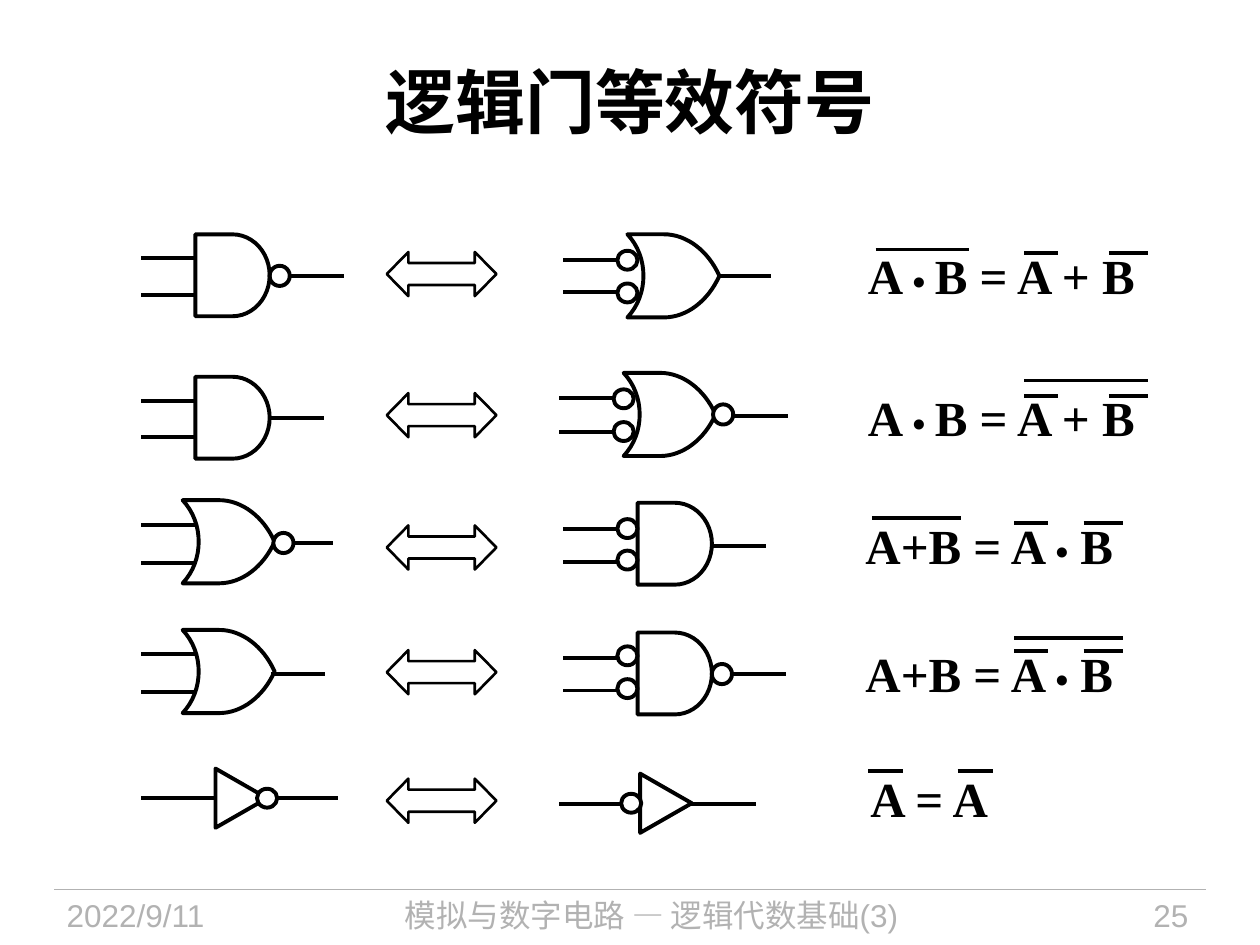
from lxml import etree
from pptx import Presentation
from pptx.dml.color import RGBColor
from pptx.enum.shapes import MSO_CONNECTOR, MSO_SHAPE
from pptx.enum.text import MSO_ANCHOR, MSO_AUTO_SIZE, PP_ALIGN
from pptx.oxml.ns import qn
from pptx.util import Pt

PX = 9144  # 100 px to the inch
STRAIGHT = MSO_CONNECTOR.STRAIGHT
DELAY, OVAL = MSO_SHAPE.FLOWCHART_DELAY, MSO_SHAPE.OVAL
TRIANGLE, DOUBLE_ARROW = MSO_SHAPE.ISOSCELES_TRIANGLE, MSO_SHAPE.LEFT_RIGHT_ARROW
LEFT, CENTER, RIGHT = PP_ALIGN.LEFT, PP_ALIGN.CENTER, PP_ALIGN.RIGHT
COLORS = {"ink": "000000", "paper": "FFFFFF", "footer": "B2B2B2"}
SERIF, SANS = "Times New Roman", "Arial"

presentation = Presentation()
presentation.slide_width, presentation.slide_height = 1000 * PX, 750 * PX
slide = presentation.slides.add_slide(presentation.slide_layouts[5])
shapes = slide.shapes


def add_horizontal(x, y, length, color="ink", width=2.25):
    line = shapes.add_connector(STRAIGHT, x * PX, y * PX, (x + length) * PX, y * PX)
    line.line.color.rgb = RGBColor.from_string(COLORS[color])
    line.line.width = Pt(width)
    etree.SubElement(line._element.spPr, qn("a:effectLst"))


def draw_outline(shape, width=2.25, filled=False):
    shape.shadow.inherit = False
    if filled:
        shape.fill.solid()
        shape.fill.fore_color.rgb = RGBColor.from_string(COLORS["paper"])
    else:
        shape.fill.background()
    shape.line.color.rgb = RGBColor.from_string(COLORS["ink"])
    shape.line.width = Pt(width)


# Title
title = shapes.title
title.left, title.top, title.width, title.height = 50 * PX, 17 * PX, 900 * PX, 125 * PX
title.text_frame.vertical_anchor = MSO_ANCHOR.MIDDLE
paragraph = title.text_frame.paragraphs[0]
paragraph.alignment = CENTER
run = paragraph.add_run()
run.text = "逻辑门等效符号"
run.font.name, run.font.size, run.font.bold = SANS, Pt(40), True
run.font.color.rgb = RGBColor.from_string(COLORS["ink"])

# Footer rule
add_horizontal(43, 706, 914, "footer", 0.75)

# Input wires: left end and the two heights
for x, heights in [
    (112, (205, 234)), (447, (206, 232)),
    (112, (318, 347)), (444, (316, 343)),
    (112, (417, 447)), (447, (420, 446)),
    (112, (519, 549)), (447, (522, 548)),
]:
    for y in heights:
        add_horizontal(x, y, 43)

# Output wires
for x, y in [
    (230, 219), (569, 219), (214, 332), (582, 330),
    (221, 431), (565, 433), (215, 535), (581, 535),
]:
    add_horizontal(x, y, 43)

# Inverter wires run behind the triangles
for x, y in [(112, 633), (444, 638)]:
    add_horizontal(x, y, 156)

# AND bodies
for x, y in [(155, 186), (155, 299), (506, 399), (506, 502)]:
    draw_outline(shapes.add_shape(DELAY, x * PX, y * PX, 59 * PX, 65 * PX))

# OR bodies: upper edge to the tip, lower edge back, concave input side
or_curves = [
    ((29, 0), (47, 0), (64, 13), (73, 33)),
    ((73, 33), (64, 53), (47, 66), (29, 66)),
    ((0, 66), (17, 48), (17, 18), (0, 0)),
]
STEPS = 16
or_points = []
for curve in or_curves:
    for step in range(STEPS + 1):
        t = step / STEPS
        weights = ((1 - t) ** 3, 3 * t * (1 - t) ** 2, 3 * t * t * (1 - t), t ** 3)
        or_points.append([sum(w * point[axis] for w, point in zip(weights, curve))
                          for axis in (0, 1)])
for left, top in [(498, 186), (495, 296), (145, 397), (145, 500)]:
    outline = [(round((left + x) * PX), round((top + y) * PX)) for x, y in or_points]
    builder = shapes.build_freeform(*outline[0], scale=1.0)
    builder.add_line_segments(outline[1:], close=True)
    draw_outline(builder.convert_to_shape())

# Inverter triangles
for x, y in [(168, 613), (505, 617)]:
    triangle = shapes.add_shape(TRIANGLE, x * PX, y * PX, 47 * PX, 41 * PX)
    triangle.rotation = 90
    draw_outline(triangle, filled=True)

# Inversion bubbles: left, top, height, filled
for x, y, height, filled in [
    (214, 211, 16, False), (490, 199, 15, False), (490, 225, 15, False),
    (487, 309, 15, False), (487, 335, 15, False), (566, 321, 16, True),
    (217, 423, 16, True), (490, 412, 15, False), (490, 437, 15, False),
    (490, 513, 15, False), (490, 539, 15, False), (565, 527, 16, False),
    (204, 626, 15, True), (493, 630, 15, True),
]:
    bubble = shapes.add_shape(OVAL, x * PX, y * PX, 16 * PX, height * PX)
    draw_outline(bubble, filled=filled)

# Equivalence arrows
for y in (200, 312, 417, 516, 618):
    arrow = shapes.add_shape(DOUBLE_ARROW, 307 * PX, y * PX, 87 * PX, 35 * PX)
    arrow.adjustments[0], arrow.adjustments[1] = 0.5, 0.49
    draw_outline(arrow, 1.5)

# Equations and footer: box, alignment, colour, wrap, runs
and_or = [("A ", SERIF, 28), ("• ", SANS, 20), ("B = A + B", SERIF, 28)]
or_and = [("A+B = A ", SERIF, 28), ("•", SANS, 20), (" B", SERIF, 28)]
double_not = [("A = A", SERIF, 28)]
for box, alignment, color, wrap, runs in [
    ((679, 190, 239, 57), LEFT, "ink", False, and_or),
    ((679, 303, 239, 57), LEFT, "ink", False, and_or),
    ((677, 404, 221, 57), LEFT, "ink", False, or_and),
    ((677, 506, 221, 57), LEFT, "ink", False, or_and),
    ((681, 605, 118, 57), LEFT, "ink", False, double_not),
    ((43, 706, 188, 44), LEFT, "footer", True, [("2022/9/11", SANS, 18)]),
    ((249, 706, 536, 44), CENTER, "footer", True,
     [("模拟与数字电路 — 逻辑代数基础(3)", SANS, 18)]),
    ((820, 706, 133, 44), RIGHT, "footer", True, [("25", SANS, 18)]),
]:
    frame = shapes.add_textbox(*(value * PX for value in box)).text_frame
    frame.word_wrap = wrap
    frame.auto_size = MSO_AUTO_SIZE.NONE if wrap else MSO_AUTO_SIZE.SHAPE_TO_FIT_TEXT
    paragraph = frame.paragraphs[0]
    paragraph.alignment = alignment
    for text, font, size in runs:
        run = paragraph.add_run()
        run.text = text
        run.font.name, run.font.size = font, Pt(size)
        run.font.bold = color == "ink"
        run.font.color.rgb = RGBColor.from_string(COLORS[color])

# Negation bars over the equations
for x, y, length in [
    (695, 198, 74), (813, 201, 27), (880, 201, 31),
    (813, 302, 98), (813, 314, 27), (880, 314, 31),
    (692, 411, 71), (805, 415, 27), (860, 415, 31),
    (805, 506, 86), (805, 517, 27), (860, 517, 31),
    (689, 612, 28), (760, 612, 28),
]:
    add_horizontal(x, y, length)

presentation.save("out.pptx")
